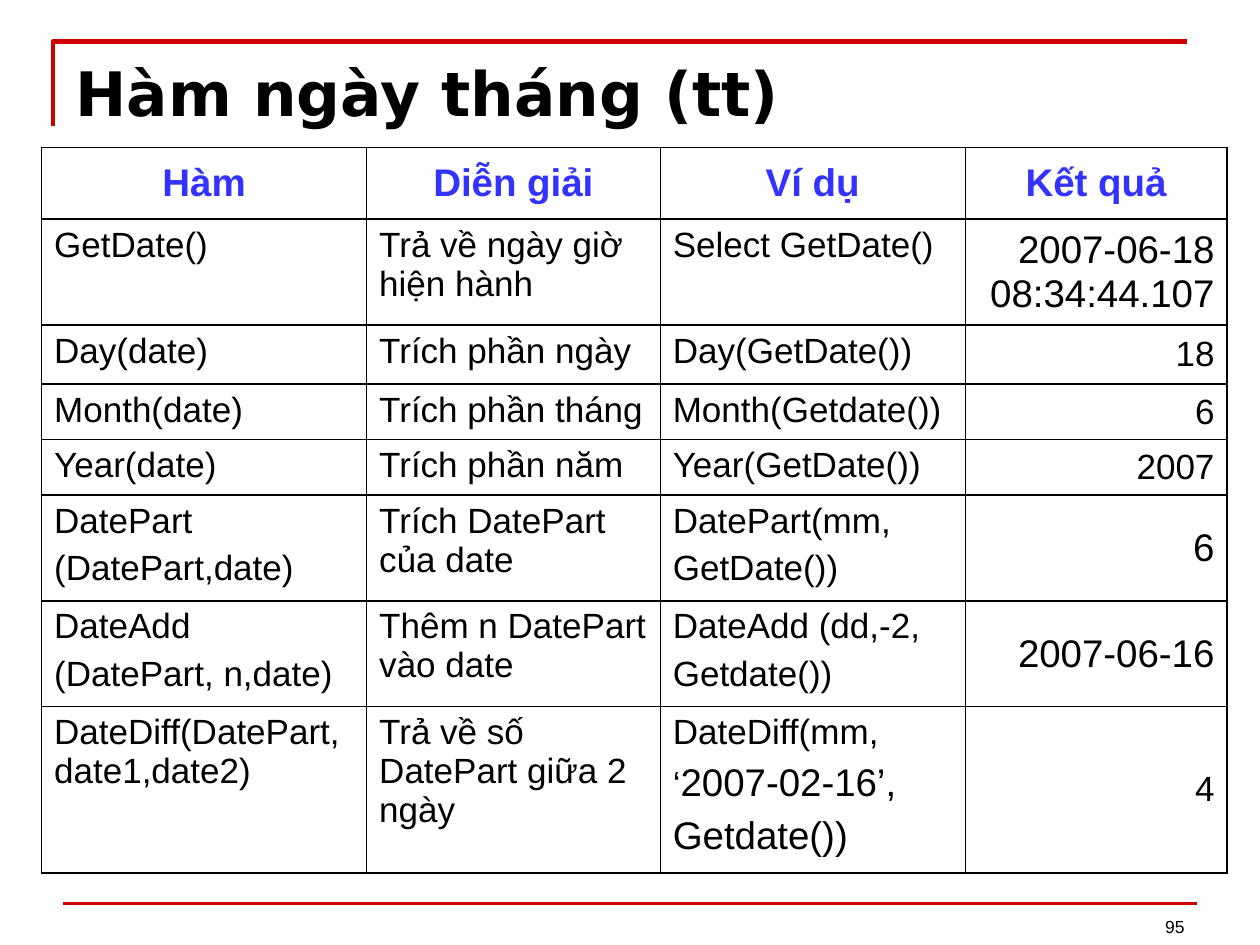
import lxml.etree
import pptx
import pptx.dml.color
import pptx.enum.text
import pptx.oxml
import pptx.oxml.ns
import pptx.util

Inches = pptx.util.Inches
Pt = pptx.util.Pt
ALIGN = pptx.enum.text.PP_ALIGN
ANCHOR = pptx.enum.text.MSO_ANCHOR

COLORS = {"rule": "CC0000", "text": "000000", "header": "3333FF"}
BODY_SIZE = 20
LARGE_SIZE = 22
THIN = 0.45
THICK = 1.08

COLUMN_WIDTHS = [2.58, 2.33, 2.42, 2.08]
ROW_HEIGHTS = [0.57, 0.84, 0.47, 0.44, 0.44, 0.84, 0.84, 1.32]
COLUMN_ALIGNMENTS = [ALIGN.JUSTIFY, ALIGN.LEFT, ALIGN.JUSTIFY, ALIGN.RIGHT]

HEADERS = ["Hàm", "Diễn giải", "Ví dụ", "Kết quả"]
DATE_DIFF_EXAMPLE = [
    [("DateDiff(mm,", BODY_SIZE)],
    [("‘", BODY_SIZE), ("2007-02-16’,", LARGE_SIZE)],
    [("Getdate())", LARGE_SIZE)],
]
FUNCTIONS = [
    ["GetDate()", "Trả về ngày giờ hiện hành", "Select GetDate()",
     [[("2007-06-18 08:34:44.107", LARGE_SIZE)]]],
    ["Day(date)", "Trích phần ngày", "Day(GetDate())", "18"],
    ["Month(date)", "Trích phần tháng", "Month(Getdate())", "6"],
    ["Year(date)", "Trích phần năm", "Year(GetDate())", "2007"],
    ["DatePart\n(DatePart,date)", "Trích DatePart của date",
     "DatePart(mm,\nGetDate())", [[("6", LARGE_SIZE)]]],
    ["DateAdd\n(DatePart, n,date)", "Thêm n DatePart vào date",
     "DateAdd (dd,-2,\nGetdate())", [[("2007-06-16", LARGE_SIZE)]]],
    ["DateDiff(DatePart, date1,date2)", "Trả về số DatePart giữa 2 ngày",
     DATE_DIFF_EXAMPLE, "4"],
]


def color(name):
    return pptx.dml.color.RGBColor.from_string(COLORS[name])


def apply(target, values):
    for name, value in values.items():
        setattr(target, name, value)


class SlideBuilder:
    def __init__(self, presentation, font="Arial"):
        self.font = font
        self.slide = presentation.slides.add_slide(presentation.slide_layouts[5])

    def place(self, shape, left, top, width, height):
        apply(shape, {"left": Inches(left), "top": Inches(top),
                      "width": Inches(width), "height": Inches(height)})

    def add_run(self, paragraph, text, size, bold=False, tone="text", font=None):
        run = paragraph.add_run()
        run.text = text
        apply(run.font, {"name": font or self.font, "size": Pt(size), "bold": bold})
        run.font.color.rgb = color(tone)

    def title(self, text, box):
        shape = self.slide.shapes.title
        self.place(shape, *box)
        apply(shape.text_frame, {"vertical_anchor": ANCHOR.TOP, "word_wrap": True})
        paragraph = shape.text_frame.paragraphs[0]
        paragraph.alignment = ALIGN.LEFT
        self.add_run(paragraph, text, 35, bold=True, font="DejaVu Sans")

    def page_number(self, text, box):
        shape = self.slide.shapes.add_textbox(*map(Inches, box))
        apply(shape.text_frame, {"vertical_anchor": ANCHOR.BOTTOM, "word_wrap": True})
        paragraph = shape.text_frame.paragraphs[0]
        paragraph.alignment = ALIGN.RIGHT
        self.add_run(paragraph, text, 10)

    def bracket(self, points):
        start, *others = [(Inches(x), Inches(y)) for x, y in points]
        builder = self.slide.shapes.build_freeform(*start)
        builder.add_line_segments(others, close=False)
        shape = builder.convert_to_shape()
        shape.shadow.inherit = False
        shape.fill.background()
        shape.line.color.rgb = color("rule")
        shape.line.width = Pt(2.5)

    def rule(self, left, right, top):
        connector = self.slide.shapes.add_connector(
            pptx.enum.shapes.MSO_CONNECTOR.STRAIGHT,
            Inches(left), Inches(top), Inches(right), Inches(top))
        connector.line.color.rgb = color("rule")
        connector.line.width = Pt(2)
        lxml.etree.SubElement(connector._element.spPr, pptx.oxml.ns.qn("a:effectLst"))

    def cell_borders(self, cell, widths):
        properties = cell._tc.get_or_add_tcPr()
        for side, width in widths.items():
            properties.append(pptx.oxml.parse_xml(
                f'<a:ln{side} {pptx.oxml.ns.nsdecls("a")} w="{int(Pt(width))}">'
                f'<a:solidFill><a:srgbClr val="{COLORS["text"]}"/></a:solidFill>'
                f'</a:ln{side}>'))

    def cell_text(self, cell, content, alignment, **style):
        if isinstance(content, str):
            size = style.pop("size", BODY_SIZE)
            content = [[(line, size)] for line in content.split("\n")]
        frame = cell.text_frame
        for index, runs in enumerate(content):
            paragraph = frame.add_paragraph() if index else frame.paragraphs[0]
            paragraph.alignment = alignment
            if index:
                paragraph.space_before = Pt(runs[-1][1] / 4)
            for text, size in runs:
                self.add_run(paragraph, text, size, **style)

    def table(self, left, top):
        rows = [HEADERS] + FUNCTIONS
        last = len(HEADERS) - 1
        table = self.slide.shapes.add_table(
            len(rows), len(HEADERS), Inches(left), Inches(top),
            Inches(sum(COLUMN_WIDTHS)), Inches(sum(ROW_HEIGHTS))).table
        apply(table, {"first_row": False, "horz_banding": False})
        for column, width in zip(table.columns, COLUMN_WIDTHS):
            column.width = Inches(width)
        for row, height in zip(table.rows, ROW_HEIGHTS):
            row.height = Inches(height)
        for row_index, contents in enumerate(rows):
            for column_index, content in enumerate(contents):
                cell = table.cell(row_index, column_index)
                self.cell_borders(cell, {
                    "L": THICK if column_index == 0 else THIN,
                    "R": THICK if column_index == last else THIN,
                    "T": THICK, "B": THICK})
                cell.fill.background()
                centered = row_index == 0 or column_index == last
                cell.vertical_anchor = ANCHOR.MIDDLE if centered else ANCHOR.TOP
                if row_index == 0:
                    self.cell_text(cell, content, ALIGN.CENTER, size=LARGE_SIZE,
                                   bold=True, tone="header")
                else:
                    self.cell_text(cell, content, COLUMN_ALIGNMENTS[column_index])


def main():
    presentation = pptx.Presentation()
    apply(presentation, {"slide_width": Inches(10), "slide_height": Inches(7.5)})
    builder = SlideBuilder(presentation)
    builder.bracket([(0.42, 1), (0.42, 0.33), (9.42, 0.33)])
    builder.rule(0.5, 9.5, 7.17)
    builder.page_number("95", (7.17, 6.99, 2.33, 0.5))
    builder.title("Hàm ngày tháng (tt)", (0.5, 0.39, 9, 0.86))
    builder.table(0.33, 1.17)
    presentation.save("out.pptx")


if __name__ == "__main__":
    main()
